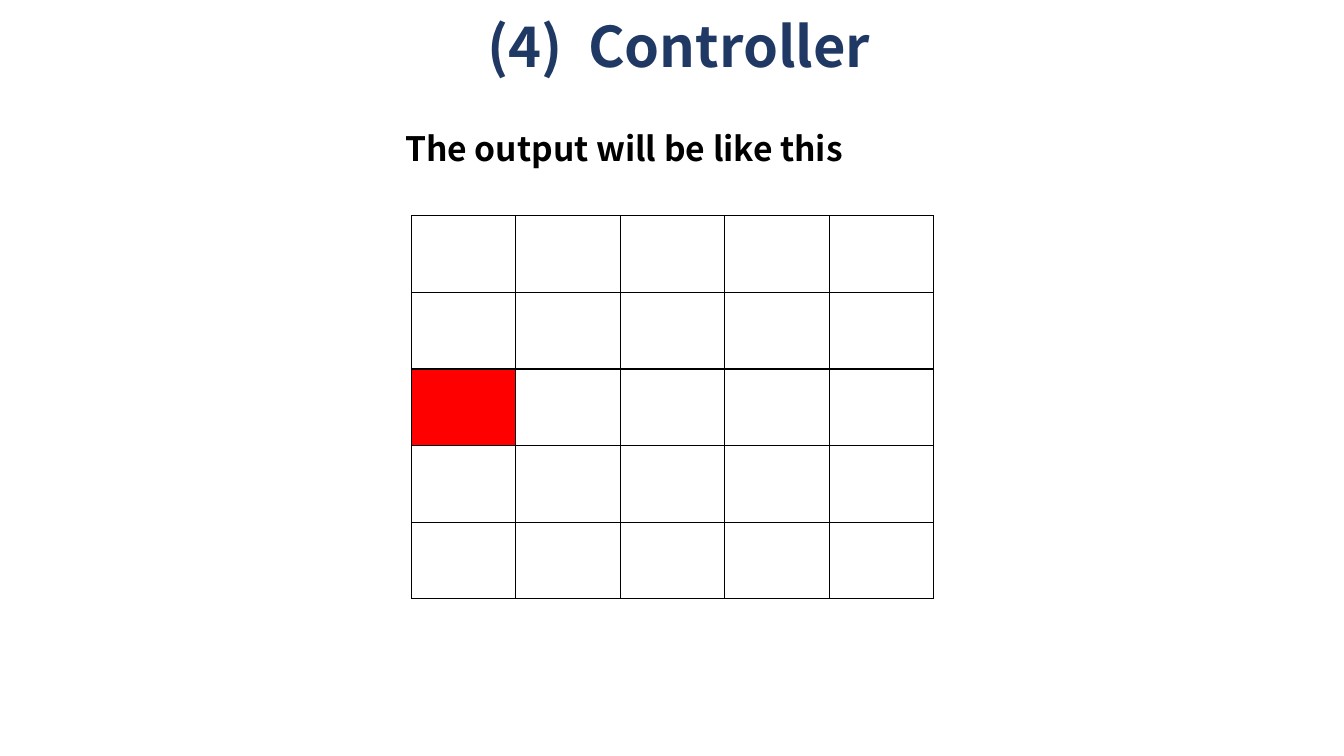
import dataclasses

import lxml.etree
import pptx
import pptx.dml.color
import pptx.enum.text
import pptx.oxml.ns
import pptx.util

Inches = pptx.util.Inches
Align = pptx.enum.text.PP_ALIGN
Anchor = pptx.enum.text.MSO_ANCHOR


@dataclasses.dataclass(frozen=True)
class Theme:
    font: str = "Noto Sans CJK KR"
    title_color: str = "203864"
    text_color: str = "000000"
    border_color: str = "000000"
    cell_color: str = "FFFFFF"
    marked_color: str = "FF0000"
    title_size: int = 40
    body_size: int = 24
    border_width: int = 1


def write_text(frame, text, *, font, size, color, bold=True,
               align=Align.LEFT, line_spacing=None):
    paragraph = frame.paragraphs[0]
    paragraph.alignment = align
    paragraph.line_spacing = line_spacing
    run = paragraph.add_run()
    run.text = text
    run.font.name = font
    run.font.size = pptx.util.Pt(size)
    run.font.bold = bold
    run.font.color.rgb = pptx.dml.color.RGBColor.from_string(color)


class SlideBuilder:
    def __init__(self, slide, theme):
        self.slide = slide
        self.theme = theme

    def text(self, text, left, top, width, height, anchor=Anchor.TOP, **style):
        shape = self.slide.shapes.add_textbox(
            Inches(left), Inches(top), Inches(width), Inches(height))
        shape.text_frame.word_wrap = True
        shape.text_frame.vertical_anchor = anchor
        write_text(shape.text_frame, text, font=self.theme.font, **style)

    def grid(self, left, top, width, height, rows, columns, marked):
        table = self.slide.shapes.add_table(
            rows, columns, Inches(left), Inches(top),
            Inches(width), Inches(height)).table
        table.first_row = False
        table.horz_banding = False
        for row in range(rows):
            for column in range(columns):
                cell = table.cell(row, column)
                self.border(cell)
                color = (self.theme.marked_color if (row, column) == marked
                         else self.theme.cell_color)
                cell.fill.solid()
                cell.fill.fore_color.rgb = pptx.dml.color.RGBColor.from_string(color)

    def border(self, cell):
        qn = pptx.oxml.ns.qn
        properties = cell._tc.get_or_add_tcPr()
        for side in ("a:lnL", "a:lnR", "a:lnT", "a:lnB"):
            line = lxml.etree.SubElement(
                properties, qn(side), w=str(pptx.util.Pt(self.theme.border_width)))
            fill = lxml.etree.SubElement(line, qn("a:solidFill"))
            lxml.etree.SubElement(fill, qn("a:srgbClr"), val=self.theme.border_color)


def main():
    presentation = pptx.Presentation()
    presentation.slide_width = Inches(13.33)
    presentation.slide_height = Inches(7.5)
    slide = presentation.slides.add_slide(presentation.slide_layouts[6])
    theme = Theme()
    builder = SlideBuilder(slide, theme)

    builder.text(" (4)  Controller", 0.92, 0.01, 11.5, 0.96,
                 anchor=Anchor.MIDDLE, size=theme.title_size,
                 color=theme.title_color, align=Align.CENTER, line_spacing=0.9)
    builder.grid(4.08, 2.14, 5.18, 3.8, rows=5, columns=5, marked=(2, 0))
    builder.text("The output will be like this", 3.92, 1.22, 5.49, 0.5,
                 size=theme.body_size, color=theme.text_color)

    presentation.save("out.pptx")


if __name__ == "__main__":
    main()
